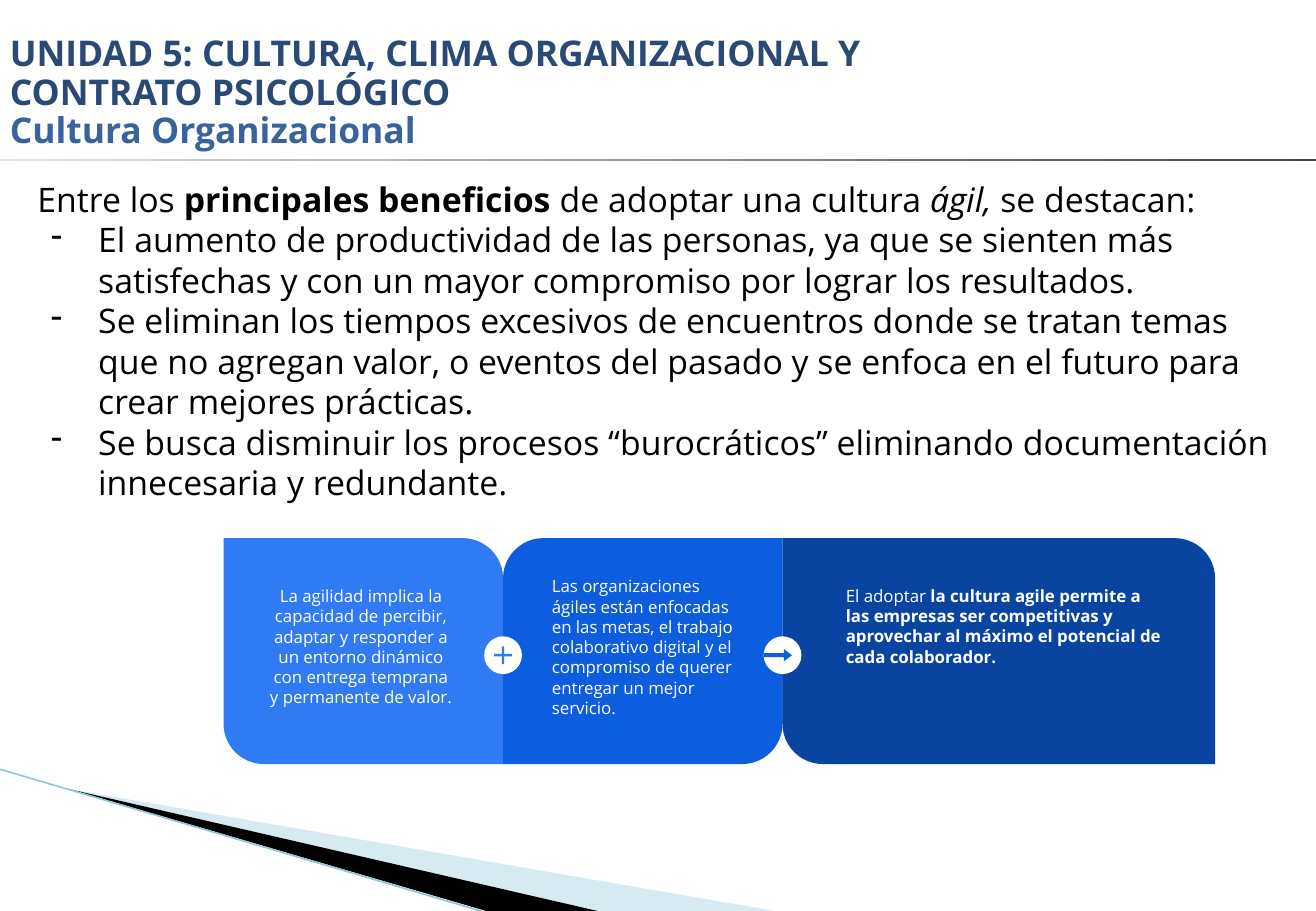
"""Builds the slide on the benefits of an agile organizational culture."""
import pptx
import pptx.dml.color
import pptx.enum.shapes
import pptx.enum.text
import pptx.oxml.ns
import pptx.util
from lxml import etree

Pt = pptx.util.Pt
SHAPE = pptx.enum.shapes.MSO_SHAPE
ALIGN = pptx.enum.text.PP_ALIGN
ANCHOR = pptx.enum.text.MSO_ANCHOR
qn = pptx.oxml.ns.qn

FONT = "Open Sans"
COLORS = {
    "title": "2A4A75", "subtitle": "39639D", "text": "000000", "white": "FFFFFF",
    "light": "307BF3", "medium": "0D5DDF", "dark": "0944A1",
    "pale_wedge": "9CCADC", "black_wedge": "000000", "edge": "93C5D8",
    "rule_start": "E5E5E5", "rule_end": "464646",
}
CARD_TOP, CARD_HEIGHT, CARD_ROUNDING = 319, 133.9, 0.178
BADGE_SIZE, BADGE_MIDDLE = 22.4, 388.4

BENEFITS = [
    "El aumento de productividad de las personas, ya que se sienten más satisfechas "
    "y con un mayor compromiso por lograr los resultados.",
    "Se eliminan los tiempos excesivos de encuentros donde se tratan temas que no agregan "
    "valor, o eventos del pasado y se enfoca en el futuro para crear mejores prácticas.",
    "Se busca disminuir los procesos “burocráticos” eliminando documentación "
    "innecesaria y redundante.",
]
CARDS = [
    ("light", 132.5, 165.6, (0, CARD_ROUNDING), (151.9, 339.1, 123.8, 104.4), ALIGN.CENTER,
     [("La agilidad implica la capacidad de percibir, adaptar y responder a un entorno "
       "dinámico con entrega temprana y permanente de valor.", "")]),
    ("medium", 298.1, 165.6, (CARD_ROUNDING, 0), (319, 333.4, 123.8, 101.5), ALIGN.LEFT,
     [("Las organizaciones ágiles están enfocadas en las metas, el trabajo colaborativo "
       "digital y el compromiso de querer entregar un mejor servicio.", "")]),
    ("dark", 463.7, 256.3, (0, CARD_ROUNDING), (493.2, 339.1, 205.9, 67), ALIGN.LEFT,
     [("El adoptar ", ""),
      ("la cultura agile permite a las empresas ser competitivas y aprovechar al máximo "
       "el potencial de cada colaborador.", "b")]),
]


def rgb(name):
    return pptx.dml.color.RGBColor.from_string(COLORS[name])


def paint(sp, color):
    sp.shadow.inherit = False
    sp.fill.solid()
    sp.fill.fore_color.rgb = rgb(color)
    sp.line.fill.background()


def add_shape(s, kind, box, color, adjustments=()):
    sp = s.shapes.add_shape(kind, *map(Pt, box))
    paint(sp, color)
    for i, value in enumerate(adjustments):
        sp.adjustments[i] = value
    return sp


def add_wedge(s, points, color, alpha=None):
    builder = s.shapes.build_freeform(*points[0], scale=Pt(1))
    builder.add_line_segments(points[1:])
    sp = builder.convert_to_shape()
    paint(sp, color)
    if alpha:
        clr = sp.fill._xPr.find(".//" + qn("a:srgbClr"))
        etree.SubElement(clr, qn("a:alpha")).set("val", str(alpha * 1000))


def add_edge(s, start, end):
    line = s.shapes.add_connector(
        pptx.enum.shapes.MSO_CONNECTOR.STRAIGHT, *map(Pt, start + end))
    line.line.color.rgb = rgb("edge")
    line.line.width = Pt(0.95)
    etree.SubElement(line._element.spPr, qn("a:effectLst"))


def add_rule(s):
    sp = add_shape(s, SHAPE.RECTANGLE, (0, 94.3, 779.76, 1.4), "rule_end")
    sp.fill.gradient()
    sp.fill.gradient_angle = 0
    for stop, color in zip(sp.fill.gradient_stops, ("rule_start", "rule_end")):
        stop.color.rgb = rgb(color)


def set_margins(tf, left, top, right, bottom):
    tf.margin_left, tf.margin_top = Pt(left), Pt(top)
    tf.margin_right, tf.margin_bottom = Pt(right), Pt(bottom)


def add_text_box(s, box, margins):
    tf = s.shapes.add_textbox(*map(Pt, box)).text_frame
    tf.word_wrap = True
    set_margins(tf, *margins)
    return tf


def write(p, segments, size, color):
    for text, style in segments:
        r = p.add_run()
        r.text = text
        r.font.name, r.font.size = FONT, Pt(size)
        r.font.color.rgb = rgb(color)
        r.font.bold, r.font.italic = "b" in style, "i" in style


def add_dash(p):
    pPr = p._p.get_or_add_pPr()
    pPr.set("marL", str(Pt(36)))
    pPr.set("indent", str(Pt(-28)))
    clr = etree.SubElement(pPr, qn("a:buClr"))
    etree.SubElement(clr, qn("a:srgbClr")).set("val", COLORS["text"])
    etree.SubElement(pPr, qn("a:buChar")).set("char", "-")


def set_title(s):
    sp = s.shapes.title
    sp.left, sp.top, sp.width, sp.height = Pt(0), Pt(0), Pt(544.3), Pt(93.6)
    tf = sp.text_frame
    tf.auto_size = pptx.enum.text.MSO_AUTO_SIZE.NONE
    tf.word_wrap = True
    tf.vertical_anchor = ANCHOR.MIDDLE
    set_margins(tf, 5.8, 20.2, 5.8, 2.9)
    lines = [("UNIDAD 5: CULTURA, CLIMA ORGANIZACIONAL Y CONTRATO PSICOLÓGICO", "title"),
             ("Cultura Organizacional", "subtitle")]
    for i, (text, color) in enumerate(lines):
        p = tf.add_paragraph() if i else tf.paragraphs[0]
        p.alignment, p.line_spacing = ALIGN.LEFT, 0.9
        write(p, [(text, "b")], 21, color)


def add_benefits(s):
    tf = add_text_box(s, (15.1, 102.2, 749.5, 200.9), (7.2, 3.6, 7.2, 3.6))
    intro = [("Entre los ", ""), ("principales beneficios", "b"),
             (" de adoptar una cultura ", ""), ("ágil,", "i"), (" se destacan:", "")]
    write(tf.paragraphs[0], intro, 20, "text")
    for benefit in BENEFITS:
        p = tf.add_paragraph()
        add_dash(p)
        write(p, [(benefit, "")], 20, "text")


def add_card(s, color, left, width, corners, text_box, align, segments):
    add_shape(s, SHAPE.ROUND_2_DIAG_RECTANGLE,
              (left, CARD_TOP, width, CARD_HEIGHT), color, corners)
    p = add_text_box(s, text_box, (8, 8, 8, 8)).paragraphs[0]
    p.alignment = align
    write(p, segments, 10, "white")


def add_badge(s, middle, kind, size, color, adjustments, shift=0):
    def centered(x, width, height):
        return x - width / 2, BADGE_MIDDLE - height / 2, width, height

    add_shape(s, SHAPE.OVAL, centered(middle, BADGE_SIZE, BADGE_SIZE), "white")
    add_shape(s, kind, centered(middle + shift, *size), color, adjustments)


def main():
    prs = pptx.Presentation()
    prs.slide_width, prs.slide_height = Pt(779.76), Pt(540)
    s = prs.slides.add_slide(prs.slide_layouts[5])
    set_title(s)
    add_wedge(s, [(42, 468), (459.4, 540), (353.5, 540)], "pale_wedge", 40)
    add_wedge(s, [(42, 467.5), (353.5, 540), (288, 540)], "black_wedge")
    add_edge(s, (0, 456), (285, 540))
    add_rule(s)
    add_benefits(s)
    for card in CARDS:
        add_card(s, *card)
    add_badge(s, CARDS[1][1], SHAPE.MATH_PLUS, (14.4, 14.4), "light", (0.1,))
    add_badge(s, CARDS[2][1], SHAPE.RIGHT_ARROW, (16.6, 7.2), "medium", (0.32, 0.67), -2.7)
    prs.save("out.pptx")


if __name__ == "__main__":
    main()
